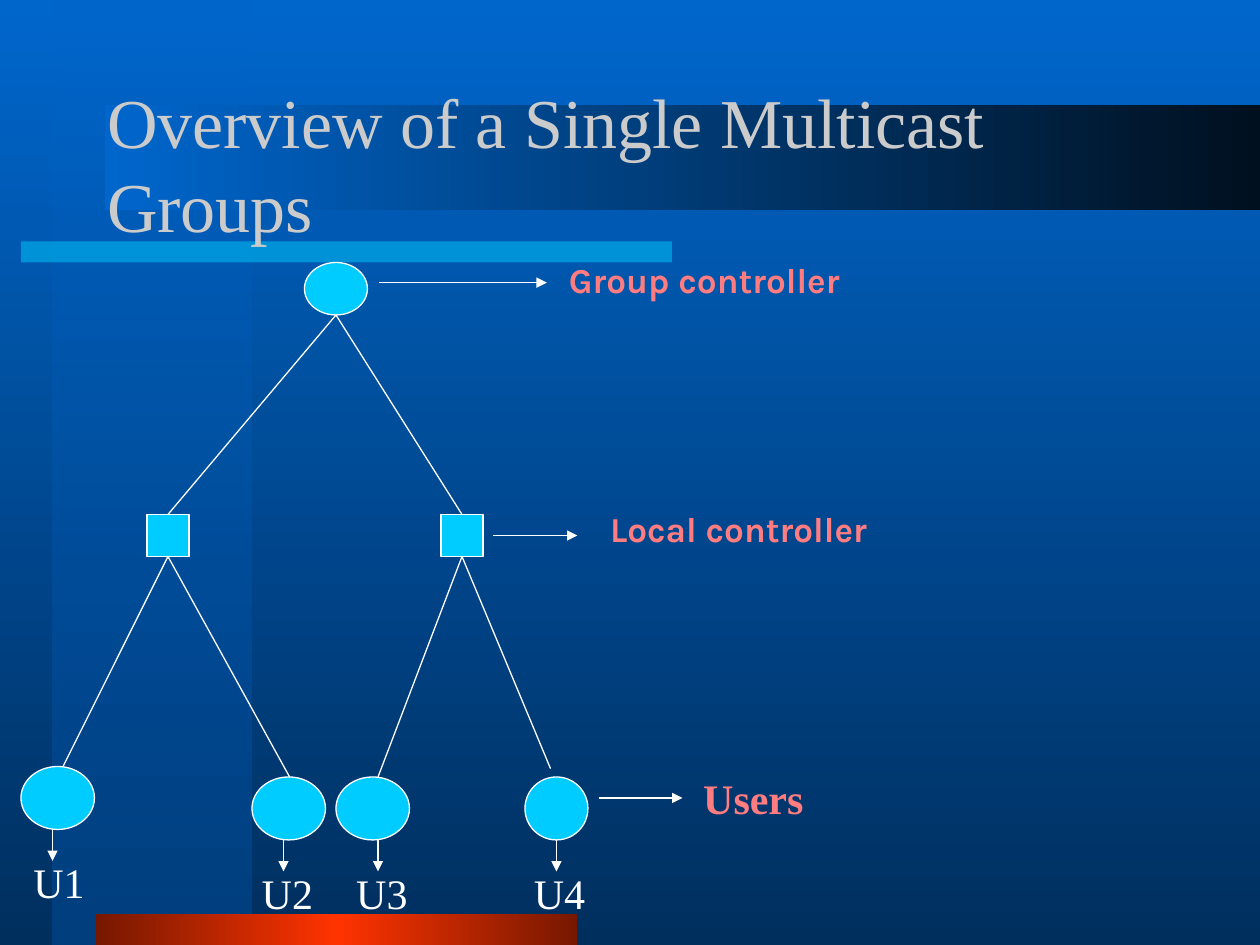
from copy import deepcopy
from typing import NamedTuple

from lxml import etree
from pptx import Presentation
from pptx.dml.color import RGBColor
from pptx.enum.shapes import MSO_CONNECTOR, MSO_SHAPE
from pptx.enum.text import MSO_ANCHOR, MSO_AUTO_SIZE, PP_ALIGN
from pptx.oxml.ns import qn
from pptx.util import Pt

RECTANGLE, OVAL = MSO_SHAPE.RECTANGLE, MSO_SHAPE.OVAL
STRAIGHT = MSO_CONNECTOR.STRAIGHT
LEFT, CENTER = PP_ALIGN.LEFT, PP_ALIGN.CENTER
MIDDLE = MSO_ANCHOR.MIDDLE
NO_FIT, GROW = MSO_AUTO_SIZE.NONE, MSO_AUTO_SIZE.SHAPE_TO_FIT_TEXT
TOP_SIDE, BOTTOM_SIDE = 0, 2

BLUE = RGBColor(0x00, 0x66, 0xCC)
DEEP_BLUE = RGBColor(0x00, 0x2F, 0x5E)
BAND_BLUE = RGBColor(0x00, 0x3F, 0x7E)
NIGHT = RGBColor(0x00, 0x10, 0x1F)
CYAN = RGBColor(0x00, 0xCC, 0xFF)
RED = RGBColor(0xFF, 0x33, 0x00)
DARK_RED = RGBColor(0x76, 0x18, 0x00)
PINK = RGBColor(0xFF, 0x7C, 0x80)
GREY = RGBColor(0xCB, 0xCB, 0xCB)
WHITE = RGBColor(0xFF, 0xFF, 0xFF)
SERIF, SANS = "Times New Roman", "Karla"


class Box(NamedTuple):
    left: float
    top: float
    width: float
    height: float

    def lengths(self):
        return [Pt(value) for value in self]


class Point(NamedTuple):
    x: float
    y: float


class User(NamedTuple):
    name: str
    box: Box
    arrow_x: float
    label_left: float
    branch_end: Point
    controller: int


class Callout(NamedTuple):
    text: str
    box: Box
    start: Point
    end_x: float
    font: str
    size: float
    space_before: float
    align: PP_ALIGN


USERS = [
    User("U1", Box(12, 438, 42, 36), 30, 12, Point(36, 438), 0),
    User("U2", Box(144, 444, 42, 36), 162, 142.5, Point(168, 448.5), 0),
    User("U3", Box(192, 444, 42, 36), 216, 196.5, Point(216, 444), 1),
    User("U4", Box(300, 444, 36, 36), 318, 298, Point(314.6, 439.2), 1),
]
CALLOUTS = [
    Callout("Group controller", Box(318, 144, 204, 31.5), Point(216.5, 161.5),
            312.5, SANS, 20, 12.5, LEFT),
    Callout("Local controller", Box(341.5, 286.5, 204, 31.5), Point(282, 306),
            330, SANS, 20, 12.5, LEFT),
    Callout("Users", Box(391.5, 438, 78, 36), Point(342, 456),
            390, SERIF, 24, 15, CENTER),
]


def paint_gradient(fill, element, colors: list[RGBColor], angle: float) -> None:
    """Spread the colours evenly; the angle runs counter-clockwise."""
    fill.gradient()
    fill.gradient_angle = angle
    stop_list = next(element.iter(qn("a:gsLst")))
    for _ in colors[2:]:
        stop_list.append(deepcopy(stop_list[-1]))
    for index, (stop, color) in enumerate(zip(fill.gradient_stops, colors)):
        stop.color.rgb = color
        stop.position = index / (len(colors) - 1)


def make_half_transparent(shape) -> None:
    """Fade the first colour of the shape's fill."""
    color = next(shape._element.spPr.iter(qn("a:srgbClr")))
    etree.SubElement(color, qn("a:alpha"), val="50000")


def add_block(slide, box: Box, colors: list[RGBColor], *, kind=RECTANGLE,
              angle: float = 0, outlined: bool = False):
    shape = slide.shapes.add_shape(kind, *box.lengths())
    shape.shadow.inherit = False
    if len(colors) == 1:
        shape.fill.solid()
        shape.fill.fore_color.rgb = colors[0]
    else:
        paint_gradient(shape.fill, shape._element.spPr, colors, angle)
    if outlined:
        shape.line.color.rgb = WHITE
        shape.line.width = Pt(0.75)
    else:
        shape.line.fill.background()
    return shape


def add_line(slide, start: Point, end: Point, *, arrow: bool = False):
    line = slide.shapes.add_connector(
        STRAIGHT, Pt(start.x), Pt(start.y), Pt(end.x), Pt(end.y))
    line.line.color.rgb = WHITE
    line.line.width = Pt(0.75)
    properties = line._element.spPr
    if arrow:
        etree.SubElement(properties.find(qn("a:ln")), qn("a:tailEnd"), type="triangle")
    etree.SubElement(properties, qn("a:effectLst"))
    return line


def write_text(shape, text: str, *, size: float, color: RGBColor, font: str = SERIF,
               bold: bool = False, align=LEFT, space_before: float = 0,
               wrap: bool = True, fit=GROW) -> None:
    frame = shape.text_frame
    frame.word_wrap = wrap
    frame.auto_size = fit
    paragraph = frame.paragraphs[0]
    paragraph.alignment = align
    paragraph.space_before = Pt(space_before)
    run = paragraph.add_run()
    run.text = text
    run.font.name = font
    run.font.size = Pt(size)
    run.font.bold = bold
    run.font.color.rgb = color


def add_background(slide) -> None:
    paint_gradient(slide.background.fill, slide._element, [BLUE, DEEP_BLUE], 270)
    make_half_transparent(
        add_block(slide, Box(30, 0, 114, 540), [BLUE, BAND_BLUE], angle=270))
    make_half_transparent(add_block(slide, Box(12, 138, 372, 12), [CYAN]))
    add_block(slide, Box(55, 522, 275, 18), [DARK_RED, RED, DARK_RED])
    add_block(slide, Box(60, 60, 660, 60), [BLUE, NIGHT])


def add_title(slide) -> None:
    title = slide.shapes.title
    title.left, title.top, title.width, title.height = Box(54, 48, 612, 90).lengths()
    title.text_frame.vertical_anchor = MIDDLE
    write_text(title, "Overview of a Single Multicast Groups", size=40, color=GREY,
               fit=NO_FIT)
    # Bring the title in front of the decorative bars
    slide.shapes._spTree.append(title._element)


def add_tree(slide) -> None:
    # Group controller and local controllers
    add_block(slide, Box(174, 150, 36, 30), [CYAN], kind=OVAL, outlined=True)
    controllers = [add_block(slide, Box(left, 294, 24, 24), [CYAN], outlined=True)
                   for left in (84, 252)]
    root = Point(192, 180)
    for controller in controllers:
        add_line(slide, root, root).end_connect(controller, TOP_SIDE)

    # Users, each with a branch, an arrow and a name
    for user in USERS:
        branch = add_line(slide, root, user.branch_end)
        branch.begin_connect(controllers[user.controller], BOTTOM_SIDE)
        add_block(slide, user.box, [CYAN], kind=OVAL, outlined=True)
        bottom = user.box.top + user.box.height
        add_line(slide, Point(user.arrow_x, bottom), Point(user.arrow_x, bottom + 18),
                 arrow=True)
        label = slide.shapes.add_textbox(
            *Box(user.label_left, bottom + 12, 44, 36).lengths())
        write_text(label, user.name, size=24, color=WHITE, wrap=False)


def add_callout(slide, callout: Callout) -> None:
    add_line(slide, callout.start, Point(callout.end_x, callout.start.y), arrow=True)
    label = slide.shapes.add_textbox(*callout.box.lengths())
    write_text(label, callout.text, size=callout.size, color=PINK, font=callout.font,
               bold=True, align=callout.align, space_before=callout.space_before)


def main() -> None:
    presentation = Presentation()
    presentation.slide_width, presentation.slide_height = Pt(720), Pt(540)
    slide = presentation.slides.add_slide(presentation.slide_layouts[5])
    add_background(slide)
    add_title(slide)
    add_tree(slide)
    for callout in CALLOUTS:
        add_callout(slide, callout)
    presentation.save("out.pptx")


if __name__ == "__main__":
    main()
